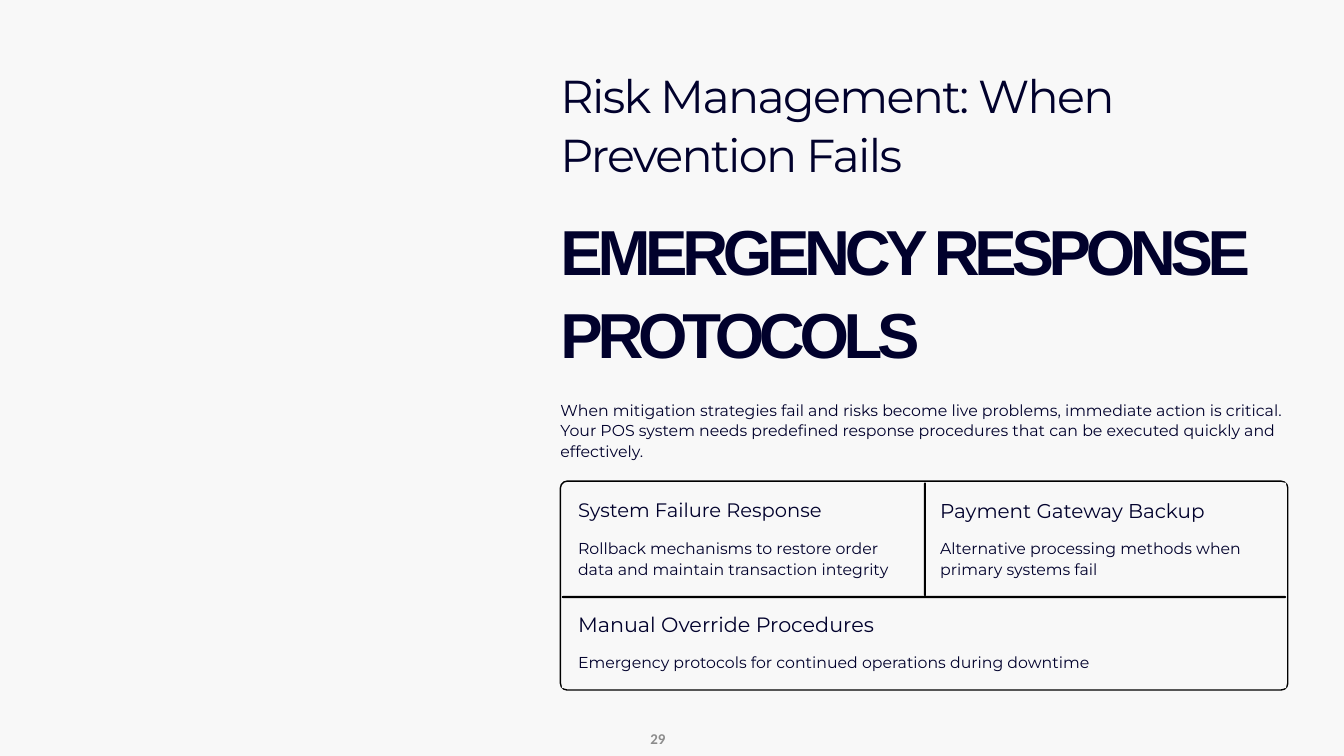
from dataclasses import dataclass

from pptx import Presentation
from pptx.dml.color import RGBColor
from pptx.enum.shapes import MSO_SHAPE
from pptx.enum.text import MSO_ANCHOR, PP_ALIGN
from pptx.util import Pt

RECTANGLE = MSO_SHAPE.RECTANGLE
ROUNDED = MSO_SHAPE.ROUNDED_RECTANGLE
MIDDLE = MSO_ANCHOR.MIDDLE
RIGHT = PP_ALIGN.RIGHT

COLORS = {"background": "F8F8F8", "ink": "01012C", "rule": "000000", "number": "8C8C8C"}
RULE_WIDTH = 2.16
PANEL_PADDING = 17.3
HEADING_OFFSET = 14.7
BODY_OFFSET = 58.8


@dataclass(frozen=True)
class Box:
    left: float
    top: float
    width: float
    height: float

    def lengths(self) -> tuple:
        return tuple(Pt(n) for n in (self.left, self.top, self.width, self.height))


@dataclass(frozen=True)
class Style:
    size: float
    line: float | None = None
    font: str = "Montserrat"
    color: str = "ink"
    bold: bool = False
    tracking: float = 0


@dataclass(frozen=True)
class Panel:
    box: Box
    heading: str
    heading_style: Style
    body: str
    geometry: int = RECTANGLE
    rule: Box | None = None


TITLE = Style(49.4, 63.7, tracking=-1.8)
BANNER = Style(68.1, 88.7, "Arial", bold=True, tracking=-5.6)
BODY = Style(16.9, 21.9)
PAGE_NUMBER = Style(16, font="Calibri", color="number", bold=True)

TEXTS = [
    (Box(600.5, 67.7, 780, 124.5), "Risk Management: When Prevention Fails", TITLE),
    (Box(600.5, 220.3, 780, 175), "EMERGENCY RESPONSE PROTOCOLS", BANNER),
    (Box(600.5, 427.7, 780, 64),
     "When mitigation strategies fail and risks become live problems, immediate action "
     "is critical. Your POS system needs predefined response procedures that can be "
     "executed quickly and effectively.", BODY),
]

FRAME = Box(600.5, 515.5, 779.3, 223.8)
LEFT, MIDDLE_X, TOP, MIDDLE_Y = 602, 990, 517, 638.6
HALF, FULL, UPPER, LOWER = 388, 776, 121.6, 98.8

PANELS = [
    Panel(Box(LEFT, TOP, HALF, UPPER), "System Failure Response", Style(20.9, 27.4),
          "Rollback mechanisms to restore order data and maintain transaction integrity",
          ROUNDED),
    Panel(Box(MIDDLE_X, TOP, HALF, UPPER), "Payment Gateway Backup", Style(21.4, 28),
          "Alternative processing methods when primary systems fail",
          rule=Box(MIDDLE_X, TOP, RULE_WIDTH, UPPER)),
    Panel(Box(LEFT, MIDDLE_Y, FULL, LOWER), "Manual Override Procedures", Style(22.2, 29.1),
          "Emergency protocols for continued operations during downtime",
          rule=Box(LEFT, MIDDLE_Y, FULL, RULE_WIDTH)),
]


def rgb(name: str) -> RGBColor:
    return RGBColor.from_string(COLORS[name])


def set_all(target, values: dict) -> None:
    for name, value in values.items():
        setattr(target, name, value)


def add_text(slide, box: Box, text: str, style: Style, inset: bool = False):
    """Add a one-paragraph text box, without margins unless inset is set."""
    shape = slide.shapes.add_textbox(*box.lengths())
    frame = shape.text_frame
    frame.word_wrap = True
    if not inset:
        set_all(frame, dict.fromkeys(
            ("margin_left", "margin_top", "margin_right", "margin_bottom"), Pt(0)))
    paragraph = frame.paragraphs[0]
    if style.line:
        paragraph.line_spacing = Pt(style.line)
    run = paragraph.add_run()
    run.text = text
    set_all(run.font, {"name": style.font, "size": Pt(style.size), "bold": style.bold})
    run.font.color.rgb = rgb(style.color)
    if style.tracking:
        run.font._element.set("spc", str(round(style.tracking * 100)))
    return frame


def add_filled(slide, box: Box, color: str, geometry: int = RECTANGLE, radius: float = 7.2):
    shape = slide.shapes.add_shape(geometry, *box.lengths())
    shape.shadow.inherit = False
    shape.fill.solid()
    shape.fill.fore_color.rgb = rgb(color)
    shape.line.fill.background()
    if geometry == ROUNDED:
        shape.adjustments[0] = min(0.5, radius / min(box.width, box.height))
    return shape


def add_panel(slide, panel: Panel) -> None:
    box = panel.box
    add_filled(slide, box, "background", panel.geometry)
    if panel.rule:
        add_filled(slide, panel.rule, "rule", ROUNDED)
    left = box.left + PANEL_PADDING
    width = box.width - 2 * PANEL_PADDING
    rows = [(HEADING_OFFSET, panel.heading, panel.heading_style),
            (BODY_OFFSET, panel.body, BODY)]
    for offset, text, style in rows:
        height = style.line * (2 if box.width == HALF and style is BODY else 1)
        add_text(slide, Box(left, box.top + offset, width, height), text, style)


def main() -> None:
    presentation = Presentation()
    set_all(presentation, {"slide_width": Pt(1440), "slide_height": Pt(810)})
    slide = presentation.slides.add_slide(presentation.slide_layouts[6])
    slide.background.fill.solid()
    slide.background.fill.fore_color.rgb = rgb("background")

    for box, text, style in TEXTS:
        add_text(slide, box, text, style)

    frame = add_filled(slide, FRAME, "background", ROUNDED)
    frame.line.color.rgb = rgb("rule")
    frame.line.width = Pt(1.5)
    for panel in PANELS:
        add_panel(slide, panel)

    number = add_text(slide, Box(552.2, 776.9, 167.8, 28.8), "29", PAGE_NUMBER, inset=True)
    number.vertical_anchor = MIDDLE
    number.paragraphs[0].alignment = RIGHT
    presentation.save("out.pptx")


if __name__ == "__main__":
    main()
